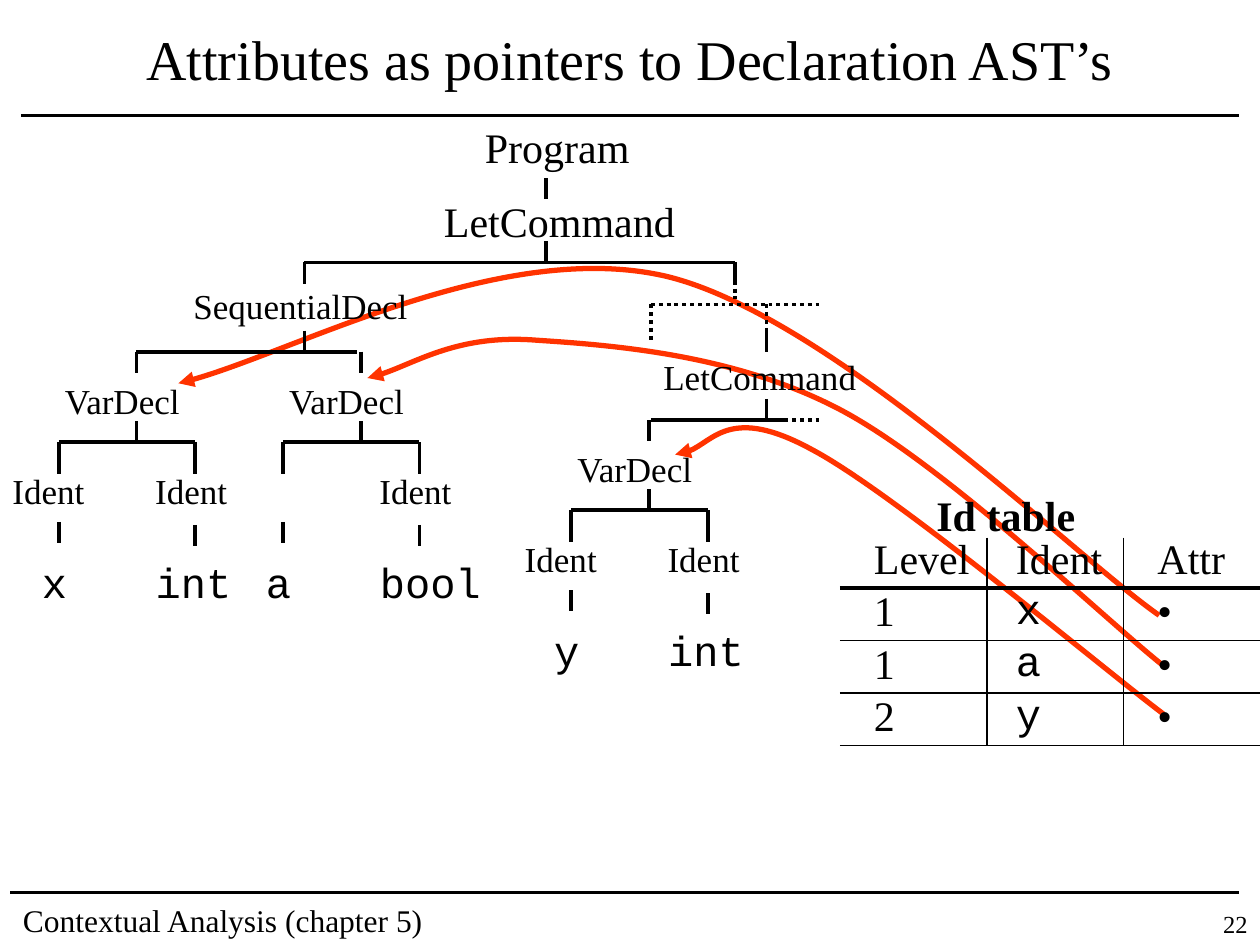
from dataclasses import dataclass

from lxml.etree import SubElement
from pptx import Presentation
from pptx.dml.color import RGBColor
from pptx.enum.dml import MSO_LINE
from pptx.enum.shapes import MSO_CONNECTOR
from pptx.enum.text import MSO_ANCHOR, MSO_AUTO_SIZE, PP_ALIGN as Align
from pptx.oxml.ns import qn
from pptx.util import Inches, Pt

COLUMNS, ROWS = 120, 90  # grid cells of one twelfth of an inch


@dataclass(frozen=True)
class Theme:
    ink: RGBColor = RGBColor(0, 0, 0)
    pointer: RGBColor = RGBColor(0xFF, 0x33, 0x00)
    serif: str = "Times New Roman"
    mono: str = "Courier New"
    title: int = 32
    large: int = 24
    node: int = 20
    footer: int = 18
    number: int = 14
    branch: float = 2.25
    arrow: float = 3
    row_rule: float = 1
    column_rule: float = 0.75


def grid(*cells):
    return [Inches(cell / 12) for cell in cells]


class SlideBuilder:
    def __init__(self, slide, theme):
        self.slide, self.shapes, self.theme = slide, slide.shapes, theme

    def style(self, paragraph, size, font=None, bold=False, align=Align.LEFT):
        paragraph.alignment = align
        paragraph.font.name = font or self.theme.serif
        paragraph.font.size = Pt(size)
        paragraph.font.bold = bold
        paragraph.font.color.rgb = self.theme.ink

    def title(self, text, x, y, width, height):
        title = self.shapes.title
        title.left, title.top, title.width, title.height = grid(x, y, width, height)
        frame = title.text_frame
        frame.text = text
        frame.auto_size = MSO_AUTO_SIZE.NONE
        frame.vertical_anchor = MSO_ANCHOR.MIDDLE
        self.style(frame.paragraphs[0], self.theme.title, align=Align.CENTER)

    def label(self, text, x, y, width, size, **style):
        box = self.shapes.add_textbox(*grid(x, y, width, size * 0.2 + 1.2))
        box.text_frame.word_wrap = False
        box.text_frame.text = text
        self.style(box.text_frame.paragraphs[0], size, **style)

    def leaf(self, text, x, y):
        """Monospaced terminal; each letter is 2.4 columns wide."""
        self.label(text, x, y, 2.4 * (len(text) + 1), self.theme.large, font=self.theme.mono)

    def line(self, x1, y1, x2, y2, dotted=False):
        line = self.shapes.add_connector(MSO_CONNECTOR.STRAIGHT, *grid(x1, y1, x2, y2))
        line.line.color.rgb = self.theme.ink
        line.line.width = Pt(self.theme.branch)
        if dotted:
            line.line.dash_style = MSO_LINE.ROUND_DOT
        SubElement(line.element.spPr, qn("a:effectLst"))

    def pointer(self, start, *controls):
        """Curved arrow: each three control points make one Bézier segment."""
        builder = self.shapes.build_freeform(*grid(*start))
        builder.add_line_segments([grid(*point) for point in controls], close=False)
        curve = builder.convert_to_shape()
        segments = list(curve.element.iter(qn("a:lnTo")))
        for first in range(0, len(segments), 3):
            bezier = SubElement(segments[first].getparent(), qn("a:cubicBezTo"))
            for segment in segments[first:first + 3]:
                bezier.append(segment[0])
                segment.getparent().remove(segment)
        curve.fill.background()
        curve.shadow.inherit = False
        curve.line.color.rgb = self.theme.pointer
        curve.line.width = Pt(self.theme.arrow)
        SubElement(curve.line._get_or_add_ln(), qn("a:tailEnd"), type="triangle")

    def var_decl(self, stem, top, name, kind, name_label="Ident"):
        """Subtree of a declaration, hung from the column of its stem."""
        left, right, bar = stem - 7.4, stem + 5.6, top + 6.6
        node = self.theme.node
        self.label("VarDecl", stem - 8, top + 0.05, 13.8, node)
        self.line(stem, top + 4.6, stem, bar)
        self.line(left, bar, right, bar)
        for x, tick in ((left, top + 14.2), (right, top + 14.5)):
            self.line(x, bar, x, bar + 3)
            self.line(x, tick, x, tick + 2)
        if name_label:
            self.label(name_label, stem - 13, top + 8.6, 9.6, node)
        self.label("Ident", stem + 0.6, top + 8.6, 9.6, node)
        self.leaf(name, stem - 10.2, top + 16.9)
        self.leaf(kind, stem + 0.65, top + 16.9)

    def border(self, cell, side, width):
        properties = cell._tc.get_or_add_tcPr()
        edge = SubElement(properties, qn(f"a:{side}"), w=str(Pt(width)))
        if width:
            fill = SubElement(edge, qn("a:solidFill"))
            SubElement(fill, qn("a:srgbClr"), val=str(self.theme.ink))
        else:
            SubElement(edge, qn("a:noFill"))

    def id_table(self, records, x, y, widths, heights, indents):
        theme = self.theme
        table = self.shapes.add_table(
            len(records), len(widths), *grid(x, y, sum(widths), sum(heights))).table
        table.first_row = table.horz_banding = False
        for column, width in zip(table.columns, grid(*widths)):
            column.width = width
        for row, height in zip(table.rows, grid(*heights)):
            row.height = height
        below = [theme.branch] + [theme.row_rule] * (len(records) - 1)
        for r, record in enumerate(records):
            for c, text in enumerate(record):
                cell = table.cell(r, c)
                cell.text = text
                cell.margin_left = Inches(indents[c])
                cell.margin_top = Inches(0.01 if r else 0)
                cell.margin_right = cell.margin_bottom = 0
                mono = r > 0 and c == 1
                self.style(cell.text_frame.paragraphs[0], theme.large,
                           font=theme.mono if mono else theme.serif)
                self.border(cell, "lnL", theme.column_rule if c else 0)
                self.border(cell, "lnR", theme.column_rule if c < len(widths) - 1 else 0)
                self.border(cell, "lnT", below[r - 1] if r else 0)
                self.border(cell, "lnB", below[r])
                cell.fill.background()


POINTERS = [
    [(110.4, 58.6), (102.6, 53.2), (79, 30), (63.4, 26.3),
     (47.8, 22.7), (26.6, 34.3), (17, 36.5)],
    [(110.8, 63.4), (105.6, 59.3), (89.9, 44.2), (80, 39), (70.1, 33.8),
     (58.7, 32.9), (51.1, 32.4), (43.7, 31.8), (38.4, 35.3), (35, 36)],
    [(110.8, 68), (105.2, 63.8), (85.1, 46.9), (77.3, 42.8),
     (69.6, 38.6), (67.1, 43.2), (64.3, 43.3)],
]
TICKS = [(52, 17), (52, 23), (29, 25), (70, 25), (29, 31.5), (13, 33.5),
         (34.35, 33.5), (73, 31.5), (73, 38), (61.8, 40)]  # each two rows long
BARS = [(29, 25, 70), (13, 33.5, 34), (62, 40, 75)]
ELIDED = [(70, 26, 70, 28.5), (62, 29, 78, 29), (73, 29, 73, 32.5),
          (62, 29, 62, 32.5), (65, 40, 78, 40)]
ID_RECORDS = [("Level", "Ident", "Attr"), ("1", "x", "•"), ("1", "a", "•"), ("2", "y", "•")]


def main():
    deck = Presentation()
    deck.slide_width, deck.slide_height = grid(COLUMNS, ROWS)
    theme = Theme()
    page = SlideBuilder(deck.slides.add_slide(deck.slide_layouts[5]), theme)

    page.line(2, 11, 118, 11)
    page.line(1, 85, 118, 85)
    page.label("Contextual Analysis (chapter 5)", 1, 85.2, 46, theme.footer)
    page.label("22", 111, 86, 9, theme.number, align=Align.RIGHT)
    for points in POINTERS:
        page.pointer(*points)
    page.title("Attributes as pointers to Declaration AST’s", 3, 1, 114, 9)

    for x, y in TICKS:
        page.line(x, y, x, y + 2)
    for x1, y, x2 in BARS:
        page.line(x1, y, x2, y)
    for ends in ELIDED:
        page.line(*ends, dotted=True)
    page.label("Program", 45, 11, 16.2, theme.large)
    page.label("LetCommand", 41.1, 18, 24.4, theme.large)
    page.label("SequentialDecl", 17.25, 26.5, 22.8, theme.node)
    page.label("LetCommand", 62, 33.3, 20.8, theme.node)
    page.var_decl(13, 35.5, "x", "int")
    page.var_decl(34.35, 35.5, "a", "bool", name_label=None)
    page.var_decl(61.8, 42, "y", "int")

    page.label("Id table", 88, 46, 15.6, theme.large, bold=True)
    page.id_table(ID_RECORDS, 80, 51.2, widths=(14, 13, 13),
                  heights=(4.8, 5, 5, 5), indents=(0.27, 0.23, 0.27))
    deck.save("out.pptx")


if __name__ == "__main__":
    main()
